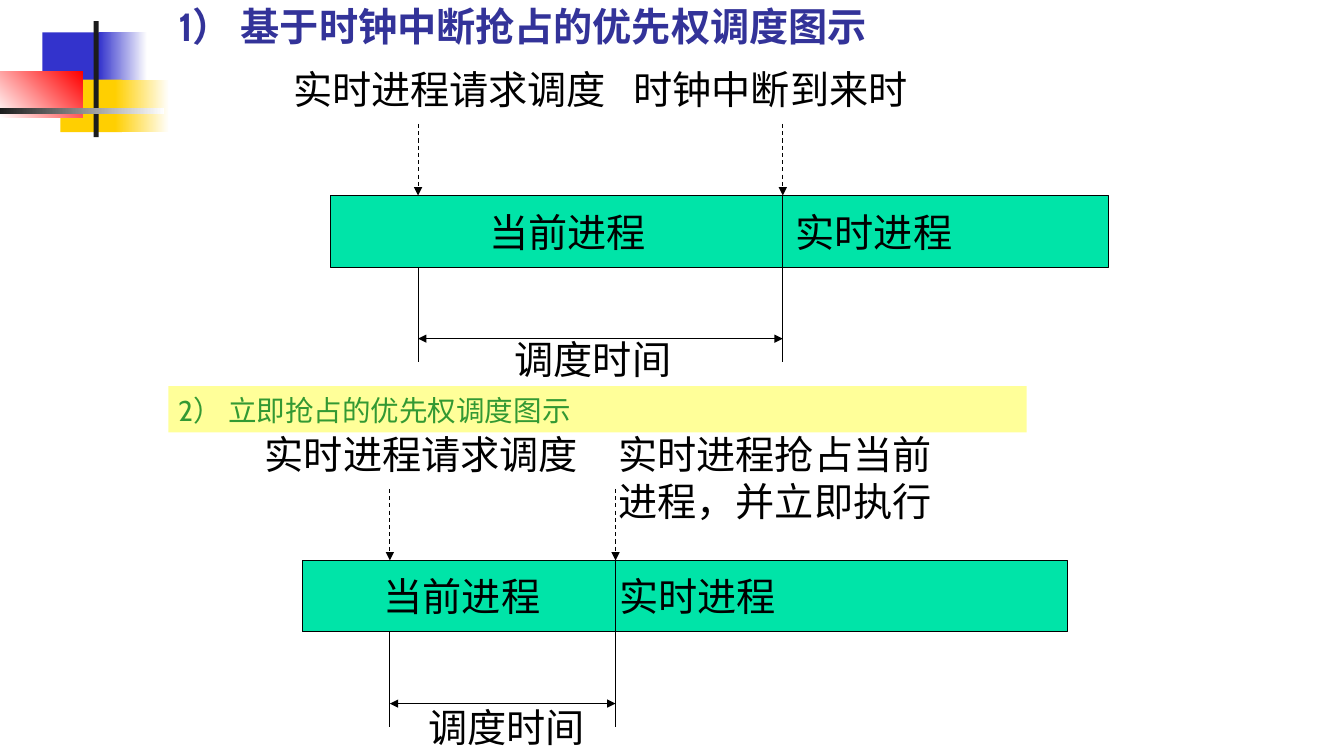
"""Builds a slide comparing clock-interrupt and immediate preemptive scheduling."""
import pptx
import pptx.dml.color
import pptx.enum.dml
import pptx.enum.shapes
import pptx.enum.text
import pptx.oxml.ns
import pptx.util
from lxml import etree

PX = 9144
RECT = pptx.enum.shapes.MSO_SHAPE.RECTANGLE
STRAIGHT = pptx.enum.shapes.MSO_CONNECTOR.STRAIGHT
ANCHOR = pptx.enum.text.MSO_ANCHOR
rgb = pptx.dml.color.RGBColor.from_string
qn = pptx.oxml.ns.qn


def set_text(sp, text, size=28, font="Arial", color="000000", anchor=ANCHOR.TOP, tabs=()):
    """Write one left-aligned paragraph, with optional tab stops."""
    tf = sp.text_frame
    tf.word_wrap = True
    tf.auto_size = pptx.enum.text.MSO_AUTO_SIZE.NONE
    tf.vertical_anchor = anchor
    p = tf.paragraphs[0]
    p.text = text
    p.alignment = pptx.enum.text.PP_ALIGN.LEFT
    if tabs:
        tab_list = etree.SubElement(p._p.get_or_add_pPr(), qn("a:tabLst"))
        for pos in tabs:
            etree.SubElement(tab_list, qn("a:tab"), pos=str(pos * PX), algn="l")
    p.font.size = pptx.util.Pt(size)
    p.font.name = font
    p.font.color.rgb = rgb(color)
    return p


def add_line(x1, y1, x2, y2, ends=(), dashed=False):
    """Draw a thin black line with arrowheads at the named ends."""
    line = s.shapes.add_connector(STRAIGHT, x1 * PX, y1 * PX, x2 * PX, y2 * PX)
    line.line.color.rgb = rgb("000000")
    line.line.width = pptx.util.Pt(0.75)
    if dashed:
        line.line.dash_style = pptx.enum.dml.MSO_LINE.DASH
    ln = line.line._get_or_add_ln()
    for end in ends:
        etree.SubElement(ln, qn(f"a:{end}"), type="triangle")
    etree.SubElement(line._element.spPr, qn("a:effectLst"))


prs = pptx.Presentation()
prs.slide_width, prs.slide_height = 1334 * PX, 750 * PX
s = prs.slides.add_slide(prs.slide_layouts[5])

ornaments = [
    (42, 32, 64, 52, ["3333CC"], 0),
    (98, 32, 48, 52, ["3333CC", "FFFFFF"], 0),
    (60, 79, 61, 52, ["FFCF01"], 0),
    (114, 79, 54, 52, ["FFCF01", "FFFFFF"], 0),
    (0, 71, 82, 46, ["FFFFFF", "FF0000"], 45),
    (93, 21, 5, 115, ["1C1C1C"], 0),
    (0, 107, 163, 6, ["1C1C1C", "FFFFFF"], 0),
]
for x, y, w, h, colors, angle in ornaments:
    sp = s.shapes.add_shape(RECT, x * PX, y * PX, w * PX, h * PX)
    sp.shadow.inherit = False
    sp.line.fill.background()
    if len(colors) == 1:
        sp.fill.solid()
        sp.fill.fore_color.rgb = rgb(colors[0])
    else:
        sp.fill.gradient()
        sp.fill.gradient_angle = angle
        for stop, color in zip(sp.fill.gradient_stops, colors):
            stop.color.rgb = rgb(color)

title = s.shapes.title
title.left, title.top, title.width, title.height = 167 * PX, 0, 852 * PX, 54 * PX
title.fill.solid()
title.fill.fore_color.rgb = rgb("FFFFFF")
p = set_text(title, "1） 基于时钟中断抢占的优先权调度图示", 28, "Cabin", "333399", ANCHOR.BOTTOM)
p.font.bold = True

subtitle = s.shapes.add_shape(RECT, 167 * PX, 383 * PX, 852 * PX, 46 * PX)
subtitle.shadow.inherit = False
subtitle.fill.solid()
subtitle.fill.fore_color.rgb = rgb("FFFF99")
subtitle.line.fill.background()
p = set_text(subtitle, "2） 立即抢占的优先权调度图示", 20.4, "Cabin", "339933", ANCHOR.BOTTOM)
p.line_spacing = 0.9

diagrams = [
    (328, 194, 772, 777, (148, 452), ("时钟中断到来时", 619, 57), (501, 328)),
    (300, 556, 760, 611, (71, 305), ("实时进程抢占当前进程，并立即执行", 604, 104), (415, 693)),
]
for left, top, width, switch, tabs, (event, event_x, event_h), (span_x, span_y) in diagrams:
    request = left + 87
    bottom = top + 71
    bar = s.shapes.add_shape(RECT, left * PX, top * PX, width * PX, 71 * PX)
    bar.shadow.inherit = False
    bar.fill.solid()
    bar.fill.fore_color.rgb = rgb("00E4A8")
    bar.line.color.rgb = rgb("000000")
    bar.line.width = pptx.util.Pt(0.75)
    set_text(bar, "\t当前进程\t实时进程", anchor=ANCHOR.MIDDLE, tabs=tabs)

    add_line(request, bottom, request, top + 165)
    add_line(switch, top, switch, top + 165)
    add_line(request, top + 142, switch, top + 142, ["headEnd", "tailEnd"])
    for x in (request, switch):
        add_line(x, top - 71, x, top, ["tailEnd"], dashed=True)

    labels = [
        ("实时进程请求调度", left - 47, top - 134, 339, 57),
        (event, event_x, top - 134, 339, event_h),
        ("调度时间", span_x, span_y, 189, 57),
    ]
    for text, x, y, w, h in labels:
        set_text(s.shapes.add_textbox(x * PX, y * PX, w * PX, h * PX), text)

prs.save("out.pptx")
